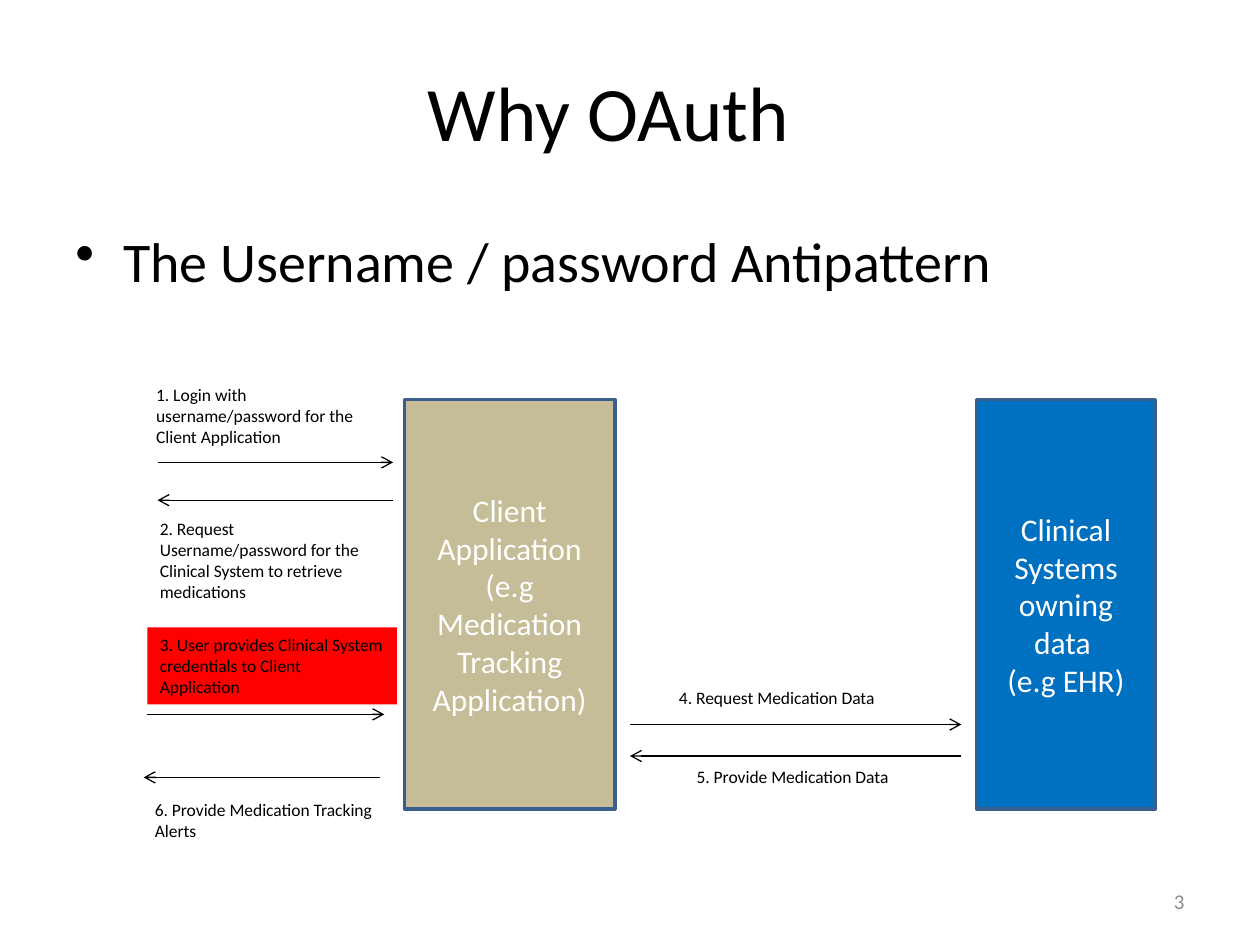
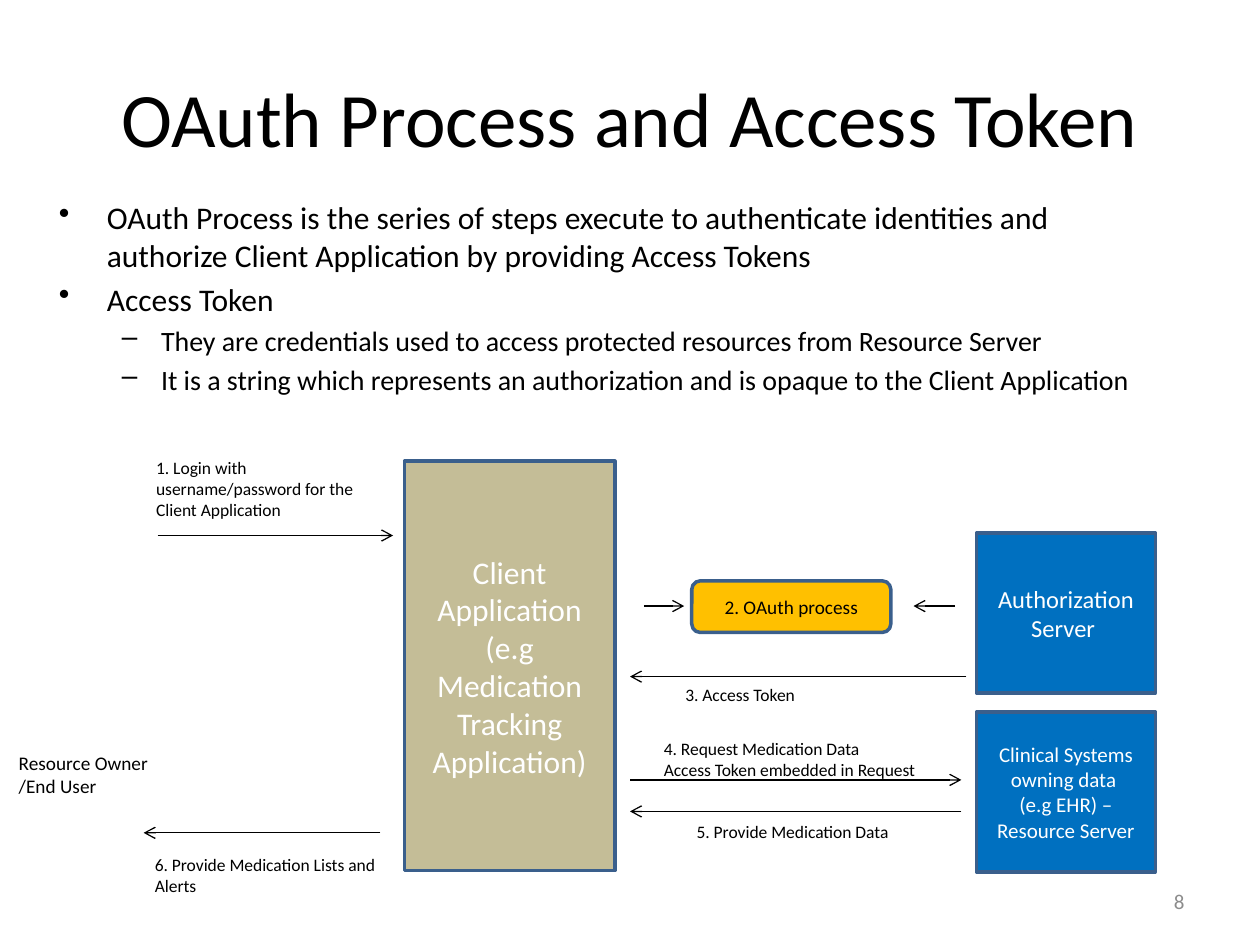
from dataclasses import dataclass

from lxml.etree import SubElement
from pptx import Presentation
from pptx.dml.color import RGBColor
from pptx.enum.shapes import MSO_CONNECTOR, MSO_SHAPE
from pptx.enum.text import MSO_ANCHOR, MSO_AUTO_SIZE, PP_ALIGN
from pptx.oxml.ns import qn
from pptx.util import Inches, Pt

WIDE, HIGH = Inches(10), Inches(7.5)
COLS, ROWS = 100, 75
LEFT, MID, RIGHT = PP_ALIGN.LEFT, PP_ALIGN.CENTER, PP_ALIGN.RIGHT


@dataclass(frozen=True)
class Theme:
    font: str = "Calibri"
    ink: str = "000000"
    pale: str = "FFFFFF"
    sand: str = "C4BD97"
    blue: str = "0070C0"
    edge: str = "3A5F8C"
    gold: str = "FFC000"
    alert: str = "FF0000"
    gray: str = "8C8C8C"
    title: int = 44
    lead: int = 32
    large: int = 18
    sub: int = 16
    medium: int = 14
    small: int = 12
    note: int = 11
    step: int = 10
    rim: float = 2
    wire: float = 0.75


THEME = Theme()


@dataclass(frozen=True)
class Box:
    x: float
    y: float
    w: float
    h: float

    def inner(self, x, y, w, h):
        return Box(self.x + x, self.y + y, w, h)

    def place(self):
        return (across(self.x), down(self.y), across(self.w), down(self.h))


def across(cols):
    return round(WIDE * cols / COLS)


def down(rows):
    return round(HIGH * rows / ROWS)


def tint(code):
    return RGBColor.from_string(code)


def dress(item, **looks):
    for name, value in looks.items():
        setattr(item, name, value)


def style(para, size, ink, align):
    dress(para, alignment=align)
    dress(para.font, name=THEME.font, size=Pt(size))
    para.font.color.rgb = tint(ink)


def write(frame, lines, size, ink=THEME.ink, align=LEFT,
          anchor=MSO_ANCHOR.TOP, wrap=True):
    dress(frame, word_wrap=wrap, vertical_anchor=anchor,
          auto_size=MSO_AUTO_SIZE.NONE)
    for row, line in enumerate(lines):
        para = frame.add_paragraph() if row else frame.paragraphs[0]
        para.text = line
        style(para, size, ink, align)


def label(slide, box, *lines, size=THEME.step, **looks):
    text = slide.shapes.add_textbox(*box.place())
    write(text.text_frame, lines, size, **looks)
    return text


def block(slide, box, fill, size, *lines, ink=THEME.pale,
          form=MSO_SHAPE.RECTANGLE):
    shape = slide.shapes.add_shape(form, *box.place())
    shape.shadow.inherit = False
    shape.fill.solid()
    shape.fill.fore_color.rgb = tint(fill)
    shape.line.color.rgb = tint(THEME.edge)
    shape.line.width = Pt(THEME.rim)
    write(shape.text_frame, lines, size, ink, MID, MSO_ANCHOR.MIDDLE)


def arrow(slide, box, start, end, y):
    level = down(box.y + y)
    line = slide.shapes.add_connector(
        MSO_CONNECTOR.STRAIGHT, across(box.x + start), level,
        across(box.x + end), level)
    line.line.color.rgb = tint(THEME.ink)
    line.line.width = Pt(THEME.wire)
    props = line._element.spPr
    SubElement(props.find(qn("a:ln")), qn("a:tailEnd"), type="arrow")
    SubElement(props, qn("a:effectLst"))


def head(slide, box, text):
    title = slide.shapes.title
    names = ("left", "top", "width", "height")
    dress(title, **dict(zip(names, box.place())))
    write(title.text_frame, [text], THEME.title, align=MID,
          anchor=MSO_ANCHOR.MIDDLE)


def points(slide, box, items):
    marks = (("•", 0.38, 0.38), ("–", 0.81, 0.31))
    text = label(slide, box, *(line for line, size, level in items))
    for para, (line, size, level) in zip(text.text_frame.paragraphs, items):
        style(para, size, THEME.ink, LEFT)
        para.space_before = Pt(size * 0.2)
        mark, left, hang = marks[level]
        props = para._p.get_or_add_pPr()
        props.set("marL", str(Inches(left)))
        props.set("indent", str(-Inches(hang)))
        SubElement(props, qn("a:buChar"), char=mark)


def folio(slide, number):
    label(slide, Box(71.7, 69.5, 23.3, 4), number, size=THEME.small,
          ink=THEME.gray, align=RIGHT, anchor=MSO_ANCHOR.MIDDLE)


def client(slide, box):
    block(slide, box.inner(32.1, 0, 16.7, 32.5), THEME.sand, THEME.large,
          "Client Application", "(e.g Medication Tracking Application)")


def server(slide, box, size, *lines):
    block(slide, box, THEME.blue, size, *lines)


def login(slide, box):
    label(slide, box.inner(0, 0, 19.8, 6.1),
          "1. Login with username/password for the Client Application")
    arrow(slide, box, 1.1, 19.8, 6.7)


def prompt(slide, box):
    arrow(slide, box, 19.5, 0.8, 0)
    label(slide, box.inner(0, 0.9, 19.8, 7.7),
          "2. Request Username/password for the Clinical System "
          "to retrieve medications")


def grant(slide, box):
    text = label(slide, box.inner(0, 0, 19.8, 6.1),
                 "3. User provides Clinical System credentials "
                 "to Client Application")
    text.fill.solid()
    text.fill.fore_color.rgb = tint(THEME.alert)
    arrow(slide, box, 0, 18.8, 6.9)


def alerts(slide, box, text):
    arrow(slide, box, 18.8, 0, 0)
    label(slide, box.inner(-0.1, 1.2, 19.8, 4.4), text)


def trade(slide, box):
    arrow(slide, box, 0, 26.3, 0)
    arrow(slide, box, 26.3, 0, 2.5)
    label(slide, box.inner(4.3, 2.8, 19.8, 2.7), "5. Provide Medication Data")


def token(slide, box):
    block(slide, box.inner(4.9, 0, 15.8, 4.1), THEME.gold, THEME.note,
          "2. OAuth process", ink=THEME.ink,
          form=MSO_SHAPE.ROUNDED_RECTANGLE)
    arrow(slide, box, 1.1, 4.3, 2)
    arrow(slide, box, 25.8, 22.5, 2)
    arrow(slide, box, 26.7, 0, 7.6)
    label(slide, box.inner(3.4, 7.7, 19.8, 2.7), "3. Access Token")


def reason(slide):
    head(slide, Box(3.3, 2.5, 90, 12.5), "Why OAuth")
    points(slide, Box(5, 17.5, 90, 49.5),
           [("The Username / password Antipattern", THEME.lead, 0)])
    flow = Box(0, 31.7, 100, 32.5)
    client(slide, flow)
    server(slide, flow.inner(77.5, 0, 14.2, 32.5), THEME.large,
           "Clinical Systems owning data ", "(e.g EHR)")
    login(slide, flow.inner(11.4, -1.7, 20, 7))
    prompt(slide, flow.inner(11.7, 8, 20, 9))
    grant(slide, flow.inner(11.7, 18.1, 20, 7))
    alerts(slide, flow.inner(11.4, 30, 20, 6),
           "6. Provide Medication Tracking Alerts")
    trade(slide, flow.inner(50, 25.8, 27, 6))
    label(slide, flow.inner(52.9, 22.3, 19.8, 2.7),
          "4. Request Medication Data")
    folio(slide, "3")


def process(slide):
    head(slide, Box(5, 3, 90, 12.5), "OAuth Process and Access Token")
    points(slide, Box(3.7, 15.2, 90, 49.5), [
        ("OAuth Process is the series of steps execute to authenticate "
         "identities and authorize Client Application by providing "
         "Access Tokens", THEME.large, 0),
        ("Access Token", THEME.large, 0),
        ("They are credentials used to access protected resources "
         "from Resource Server", THEME.sub, 1),
        ("It is a string which represents an authorization and is opaque "
         "to the Client Application", THEME.sub, 1)])
    flow = Box(0, 36.6, 100, 32.5)
    client(slide, flow)
    server(slide, flow.inner(77.5, 5.7, 14.2, 12.7), THEME.medium,
           "Authorization Server ")
    server(slide, flow.inner(77.5, 19.9, 14.2, 12.7), THEME.small,
           "Clinical Systems owning data ", "(e.g EHR) – Resource Server")
    login(slide, flow.inner(11.4, -0.8, 20, 7))
    token(slide, flow.inner(50, 9.5, 27, 11))
    trade(slide, flow.inner(50, 25.3, 27, 6))
    label(slide, flow.inner(51.7, 21.5, 23.3, 4.4),
          "4. Request Medication Data", "Access Token embedded in Request")
    alerts(slide, flow.inner(11.4, 29.5, 20, 6),
           "6. Provide Medication Lists and Alerts")
    label(slide, flow.inner(0.5, 22.5, 12.4, 4.7), "Resource Owner",
          "/End User", size=THEME.note, wrap=False)
    folio(slide, "8")


def main():
    deck = Presentation()
    dress(deck, slide_width=WIDE, slide_height=HIGH)
    for build in (reason, process):
        build(deck.slides.add_slide(deck.slide_layouts[5]))
    deck.save("out.pptx")


if __name__ == "__main__":
    main()
